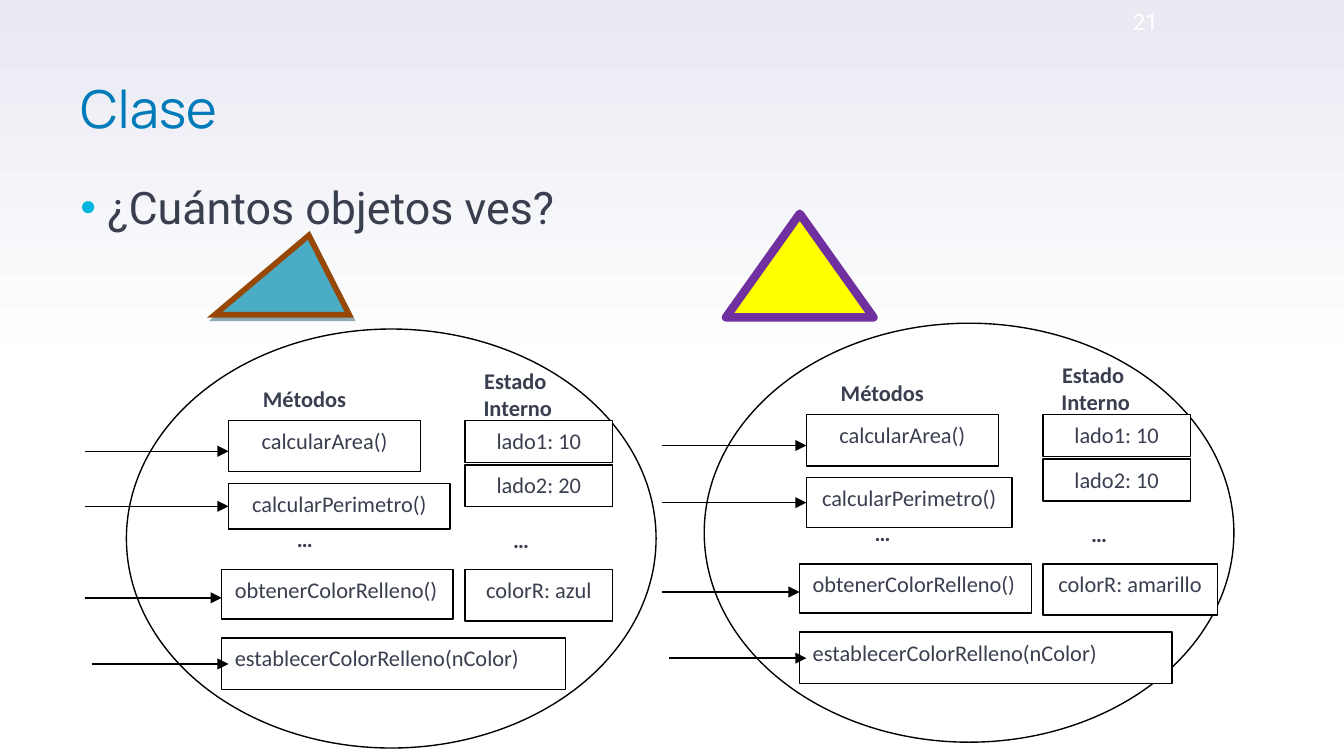
from dataclasses import dataclass
from typing import Optional

from lxml import etree
from pptx import Presentation
from pptx import util as u
from pptx.dml.color import RGBColor
from pptx.enum import shapes, text
from pptx.oxml import parse_xml
from pptx.oxml.ns import nsdecls, qn

HUES = {
    "white": "FFFFFF", "black": "000000", "ink": "3A3F50", "title": "007BB9",
    "dot": "00B5DD", "sky": "E9EAF2", "teal": "4BACC6", "brown": "974706",
    "shade": "205867", "yellow": "FFFF00", "purple": "7030A0",
}
LEFT, MID = text.PP_ALIGN.LEFT, text.PP_ALIGN.CENTER
KINDS = shapes.MSO_SHAPE


@dataclass
class Box:
    """A framed entry in centimetres, with an optional incoming arrow."""
    words: str
    x: float
    y: float
    w: float
    h: float
    align: int = MID
    tail: Optional[float] = None  # where the arrow starts
    tip: Optional[tuple] = None   # where it ends; joined to the side if None


@dataclass
class Note:
    """A bold label without a frame."""
    words: str
    x: float
    y: float
    w: float
    h: float
    align: int = LEFT


@dataclass
class Panel:
    """One object: its shift and the values that are its own."""
    dx: float
    dy: float
    side: str
    color: str
    wides: tuple  # perimeter, getter, setter and colour widths
    tall: float   # perimeter height


NOTES = [
    Note("Métodos", 4.72, 7.15, 2.9, 0.94),
    Note("Estado\n Interno", 7.9, 6.81, 3.68, 1.09, MID),
    Note("…", 5.36, 9.8, 3.53, 1.19),
    Note("…", 9.45, 9.82, 3.53, 1.19),
]
PANELS = [
    Panel(0, 0, "20", "azul", (4.19, 4.37, 6.5, 2.79), 0.86),
    Panel(10.92, -0.11, "10", "amarillo", (3.89, 4.39, 7.04, 3.3), 0.94),
]


def hue(name: str) -> RGBColor:
    return RGBColor.from_string(HUES[name])


def write(shape, words: str, align: int = LEFT, size: float = 12,
          font: str = "Calibri", color: str = "ink", bold: bool = False,
          anchor=text.MSO_ANCHOR.TOP) -> None:
    frame = shape.text_frame
    frame.word_wrap = True
    frame.vertical_anchor = anchor
    frame.text = words
    for para in frame.paragraphs:
        para.alignment = align
        for run in para.runs:
            run.font.size = u.Pt(size)
            run.font.name = font
            run.font.bold = bold
            run.font.color.rgb = hue(color)


def label(tree, x: float, y: float, w: float, h: float, words: str, **style):
    shape = tree.add_textbox(u.Cm(x), u.Cm(y), u.Cm(w), u.Cm(h))
    write(shape, words, **style)
    return shape.text_frame.paragraphs[0]


def draw(tree, kind, x: float, y: float, w: float, h: float,
         fill: str = "white", line: str = "black", width: float = 0.75):
    shape = tree.add_shape(kind, u.Cm(x), u.Cm(y), u.Cm(w), u.Cm(h))
    shape.shadow.inherit = False
    shape.fill.solid()
    shape.fill.fore_color.rgb = hue(fill)
    shape.line.color.rgb = hue(line)
    shape.line.width = u.Pt(width)
    return shape


def arrow(tree, start: tuple, end: tuple, goal=None) -> None:
    link = tree.add_connector(shapes.MSO_CONNECTOR.STRAIGHT,
                              *(u.Cm(v) for v in start + end))
    if goal is not None:
        link.end_connect(goal, 1)
    link.line.color.rgb = hue("black")
    link.line.width = u.Pt(0.75)
    etree.SubElement(link.line._get_or_add_ln(), qn("a:tailEnd"), type="triangle")
    etree.SubElement(link._element.spPr, qn("a:effectLst"))


def entries(panel: Panel) -> list[Box]:
    area, get, put, state = panel.wides
    return [
        Box("calcularArea()", 4.32, 7.95, 3.63, 0.97, MID, 1.6, (4.32, 8.53)),
        Box("calcularPerimetro()", 4.32, 9.14, area, panel.tall, MID, 1.6),
        Box("obtenerColorRelleno()", 4.19, 10.77, get, 0.93, LEFT, 1.6, (4.19, 11.3)),
        Box("lado1: 10", 8.79, 7.95, 2.79, 0.79),
        Box(f"lado2: {panel.side}", 8.79, 8.79, 2.79, 0.79),
        Box(f"colorR: {panel.color}", 8.79, 10.77, state, 0.97),
        Box("establecerColorRelleno(nColor)", 4.19, 12.06, put, 0.97, LEFT,
            1.73, (4.32, 12.55)),
    ]


def show(slide, panel: Panel) -> None:
    tree = slide.shapes.add_group_shape().shapes
    dx, dy = panel.dx, panel.dy
    draw(tree, KINDS.OVAL, 2.39 + dx, 6.22 + dy, 10.01, 7.92)
    for note in NOTES:
        label(tree, note.x + dx, note.y + dy, note.w, note.h, note.words,
              align=note.align, bold=True)
    for box in entries(panel):
        x, y = box.x + dx, box.y + dy
        shape = draw(tree, KINDS.RECTANGLE, x, y, box.w, box.h)
        write(shape, box.words, box.align)
        if box.tail is None:
            continue
        if box.tip:
            tip = (box.tip[0] + dx, box.tip[1] + dy)
            arrow(tree, (box.tail + dx, tip[1]), tip)
        else:
            tip = (x, y + box.h / 2)
            arrow(tree, (box.tail + dx, tip[1]), tip, shape)


def main() -> None:
    deck = Presentation()
    deck.slide_width, deck.slide_height = u.Cm(25.4), u.Cm(14.29)
    slide = deck.slides.add_slide(deck.slide_layouts[6])
    tree = slide.shapes

    # Background: white lower half fading to a pale top
    fill = slide.background.fill
    fill.gradient()
    fill.gradient_angle = 90
    for stop, place, name in zip(fill.gradient_stops, (0.5, 1), ("white", "sky")):
        stop.position = place
        stop.color.rgb = hue(name)

    # Heading, question and page number
    middle = text.MSO_ANCHOR.MIDDLE
    head = label(tree, 1.27, 1.12, 22.86, 2.06, "Clase", size=28,
                 font="Manrope", color="title", anchor=middle)
    head.line_spacing = 0.8
    ask = label(tree, 1.27, 3.18, 23.04, 2.21, "¿Cuántos objetos ves?",
                size=24, font="Roboto")
    ask.line_spacing = 1.1
    props = ask._p.get_or_add_pPr()
    props.set("marL", str(u.Cm(0.51)))
    props.set("indent", str(u.Cm(-0.51)))
    tint = etree.SubElement(props, qn("a:buClr"))
    etree.SubElement(tint, qn("a:srgbClr"), val=HUES["dot"])
    etree.SubElement(props, qn("a:buFont"), typeface="Arial")
    etree.SubElement(props, qn("a:buChar"), char="•")
    label(tree, 20.55, 0, 2.2, 0.8, "21", align=MID, font="Roboto",
          color="white", anchor=middle)

    # The two objects with their methods and state
    for panel in PANELS:
        show(slide, panel)

    # Triangles above them
    blue = draw(tree, KINDS.ISOSCELES_TRIANGLE, 4.06, 4.45, 2.54, 2.13,
                "teal", "brown", 3)
    blue.adjustments[0] = 0.7
    blue.top, blue.height = u.Cm(4.45), u.Cm(1.5)
    etree.SubElement(blue.line._get_or_add_ln(), qn("a:miter"), lim="800000")
    glow = blue._element.spPr.find(qn("a:effectLst"))
    glow.append(parse_xml(
        f'<a:outerShdw {nsdecls("a")} blurRad="0" dist="{u.Pt(2.2)}" '
        f'dir="{63 * 60000}" algn="ctr" rotWithShape="0">'
        f'<a:srgbClr val="{HUES["shade"]}"><a:alpha val="50000"/></a:srgbClr>'
        '</a:outerShdw>'))
    draw(tree, KINDS.ISOSCELES_TRIANGLE, 13.72, 4.04, 2.79, 1.96,
         "yellow", "purple", 4.5)

    deck.save("out.pptx")


if __name__ == "__main__":
    main()
